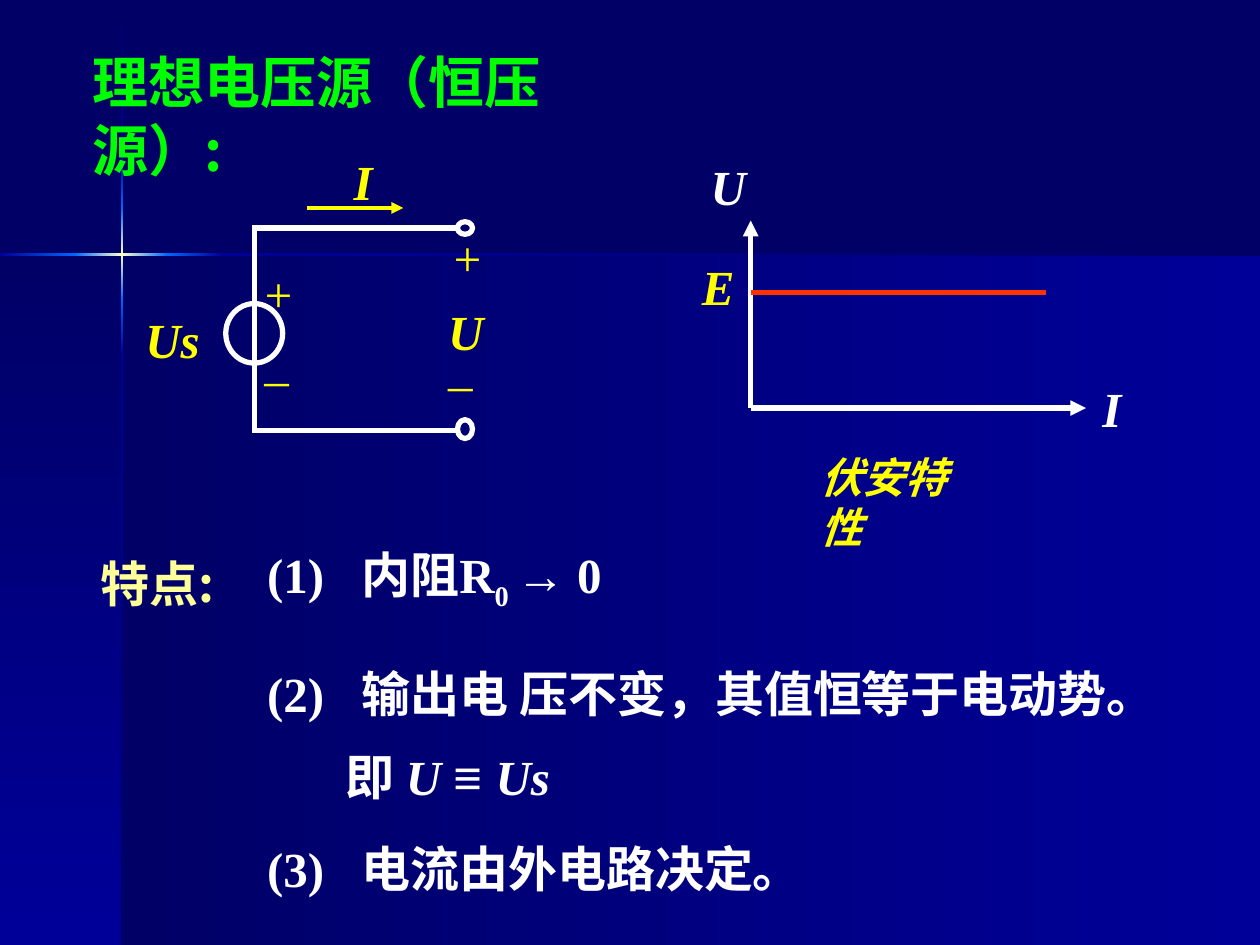
from copy import deepcopy

from pptx import Presentation
from pptx.dml.color import RGBColor
from pptx.enum.shapes import MSO_CONNECTOR, MSO_SHAPE
from pptx.enum.text import MSO_ANCHOR, MSO_AUTO_SIZE, PP_ALIGN
from pptx.oxml.ns import qn
from pptx.util import Pt
from lxml.etree import SubElement

WHITE = RGBColor(0xFF, 0xFF, 0xFF)
YELLOW = RGBColor(0xFF, 0xFF, 0x00)
PALE = RGBColor(0xFF, 0xFF, 0x99)
CREAM = RGBColor(0xFF, 0xFF, 0xCC)
GREEN = RGBColor(0x00, 0xFF, 0x00)
RED = RGBColor(0xFF, 0x33, 0x00)
DARK = RGBColor(0x00, 0x00, 0x66)
NAVY = RGBColor(0x00, 0x00, 0x99)
BLUE = RGBColor(0x00, 0x66, 0xFF)
SERIF, SANS, CJK = "Times New Roman", "Arial", "Noto Sans CJK SC"
ITALIC = dict(name=SERIF, size=Pt(28), bold=True, italic=True)
SIGN = dict(ITALIC, bold=False)


def add_run(p, text, color, **fmt):
    r = p.add_run()
    r.text = text
    r.font.color.rgb = color
    for key, value in fmt.items():
        setattr(r.font, key, value)
    SubElement(r.font._element, qn("a:ea")).set("typeface", CJK)
    return r


def add_label(s, x, y, w, text, color, h=41, **fmt):
    tf = s.shapes.add_textbox(Pt(x), Pt(y), Pt(w), Pt(h)).text_frame
    tf.word_wrap = False
    add_run(tf.paragraphs[0], text, color, **fmt)


def add_line(s, x1, y1, x2, y2, color=WHITE, width=3, arrow=False):
    line = s.shapes.add_connector(MSO_CONNECTOR.STRAIGHT, Pt(x1), Pt(y1), Pt(x2), Pt(y2))
    line.line.color.rgb = color
    line.line.width = Pt(width)
    if arrow:
        SubElement(line.line._get_or_add_ln(), qn("a:tailEnd")).set("type", "triangle")
    SubElement(line._element.spPr, qn("a:effectLst"))


def add_ring(s, x, y, w, h):
    ring = s.shapes.add_shape(MSO_SHAPE.OVAL, Pt(x), Pt(y), Pt(w), Pt(h))
    ring.shadow.inherit = False
    ring.fill.background()
    ring.line.color.rgb = WHITE
    ring.line.width = Pt(3)


def add_gradient(s, x, y, w, h, colors, vertical):
    sp = s.shapes.add_shape(MSO_SHAPE.RECTANGLE, Pt(x), Pt(y), Pt(w), Pt(h))
    sp.shadow.inherit = False
    sp.line.fill.background()
    sp.fill.gradient()
    stops = sp._element.spPr.find(qn("a:gradFill")).find(qn("a:gsLst"))
    if len(colors) == 3:
        stops.insert(1, deepcopy(stops[0]))
    for i, (stop, color) in enumerate(zip(sp.fill.gradient_stops, colors)):
        stop.color.rgb = color
        stop.position = i / (len(colors) - 1)
    sp.fill.gradient_angle = 270 if vertical else 0
    return sp


def draw_backdrop(s, w, h):
    """Two gradient panels and a star where their edges cross."""
    cx, cy = 69.84, 145.44
    beam = 1.44
    flare = (BLUE, CREAM, BLUE)
    parts = [add_gradient(s, cx, cy, w - cx, h - cy, (DARK, NAVY), False),
             add_gradient(s, 0, cy, cx, h - cy, (DARK, NAVY), True)]
    # Beams: start, end and colours along each axis
    for start, end, colors in ((0, 87, (DARK, NAVY)), (203, h, (NAVY, DARK)),
                               (171, 203, (BLUE, NAVY)), (87, 119, (NAVY, BLUE)),
                               (119, 171, flare)):
        parts.append(add_gradient(s, cx - beam / 2, start, beam, end - start, colors, True))
    for start, end, colors in ((127, w, (NAVY, DARK)), (0, 44, (NAVY, BLUE)),
                               (96, 127, (BLUE, NAVY)), (43, 96, flare)):
        parts.append(add_gradient(s, start, cy - beam / 2, end - start, beam, colors, False))
    # Place behind the placeholders
    for i, part in enumerate(parts):
        s.shapes._spTree.insert(2 + i, part._element)


def place(sp, x, y, w, h):
    sp.left, sp.top, sp.width, sp.height = Pt(x), Pt(y), Pt(w), Pt(h)
    tf = sp.text_frame
    tf.word_wrap = True
    tf.auto_size = MSO_AUTO_SIZE.NONE
    tf.vertical_anchor = MSO_ANCHOR.TOP
    return tf


def fill_title(s, x, y, w, h):
    tf = place(s.shapes.title, x, y, w, h)
    tf.margin_right = Pt(60)
    p = tf.paragraphs[0]
    p.alignment = PP_ALIGN.LEFT
    add_run(p, "理想电压源（恒压源）:", GREEN, name=CJK, size=Pt(32), bold=True)


def fill_features(s, x, y, w, h):
    add_label(s, x - 95, y + 1, 133, "特点:", PALE, name=CJK, size=Pt(28), bold=True)
    tf = place(s.placeholders[1], x, y, w, h)
    base = dict(name=SERIF, size=Pt(28), bold=True)
    # Space before, left margin, first indent, runs
    items = (
        (0, 54, -54, (("(1)\t内阻R", {}), ("0 ", {"sub": True}),
                      ("→", {"name": SANS}), (" 0", {}))),
        (29, 54, -54, (("(2)\t输出电 压不变，其值恒等于电动势。", {}),)),
        (13.5, 45, 0, (("即 ", {}), ("U ", {"italic": True}),
                       ("≡ ", {"name": SANS, "bold": False}), ("Us", {"italic": True}))),
        (18.5, 54, -54, (("(3)\t电流由外电路决定。", {}),)),
    )
    for i, (before, margin, indent, runs) in enumerate(items):
        p = tf.paragraphs[0] if i == 0 else tf.add_paragraph()
        p.line_spacing = Pt(34)
        p.space_before = Pt(before)
        pPr = p._p.get_or_add_pPr()
        pPr.set("marL", str(Pt(margin)))
        pPr.set("indent", str(Pt(indent)))
        SubElement(pPr, qn("a:buNone"))
        for text, change in runs:
            fmt = {**base, **change}
            sub = fmt.pop("sub", False)
            r = add_run(p, text, WHITE, **fmt)
            if sub:
                r.font._element.set("baseline", "-25000")


def draw_circuit(s, x, y):
    """Voltage source with two open terminals."""
    left, right, top, bottom = x + 69.5, x + 185.4, y + 47.3, y + 163.2
    # Source and wires
    add_ring(s, x + 53, y + 90.5, 32.5, 34)
    add_line(s, left, top, left, bottom)
    for wire in (top, bottom):
        add_line(s, left - 1.5, wire, right, wire)
    add_ring(s, right, top - 3.6, 8.6, 7.2)
    add_ring(s, right, bottom - 6.4, 8.6, 10.8)
    add_line(s, x + 99.7, y + 35.8, x + 154.4, y + 35.8, YELLOW, 2.25, True)
    # Labels
    for dx, dy, w, text, fmt in ((119, 0, 25, "I", ITALIC), (0, 90.5, 45.5, "Us", ITALIC),
                                 (173, 85.5, 34.5, "U", ITALIC),
                                 (66.5, 64, 33, "+", SIGN), (68, 102.8, 29, "_", SIGN),
                                 (174.5, 43.7, 33, "+", SIGN), (173, 105.6, 29, "_", SIGN)):
        add_label(s, x + dx, y + dy, w, text, YELLOW, **fmt)


def draw_characteristic(s, x, y):
    """Voltage against current: a flat line at E."""
    ox, oy = x + 35, y + 147.5
    add_line(s, ox, oy, ox, y + 40.3, arrow=True)
    add_line(s, ox, oy, ox + 191.6, oy, arrow=True)
    add_line(s, ox, y + 81.3, ox + 168.5, y + 81.3, RED)
    for dx, dy, w, text, color in ((228.8, 127.3, 25, "I", WHITE), (5, 0, 34.5, "U", WHITE),
                                   (0, 57.6, 33, "E", YELLOW)):
        add_label(s, x + dx, y + dy, w, text, color, **ITALIC)
    add_label(s, x + 67.5, y + 168.5, 110, "伏安特性", YELLOW, 36, **dict(ITALIC, size=Pt(24)))


def main():
    prs = Presentation()
    prs.slide_width, prs.slide_height = Pt(720), Pt(540)
    s = prs.slides.add_slide(prs.slide_layouts[1])
    s.background.fill.solid()
    s.background.fill.fore_color.rgb = DARK
    draw_backdrop(s, 720, 540)
    fill_title(s, 45.4, 23.8, 351.4, 84)
    fill_features(s, 145.4, 312, 521.3, 202)
    draw_circuit(s, 76, 83)
    draw_characteristic(s, 394, 85.7)
    prs.save("out.pptx")


if __name__ == "__main__":
    main()
